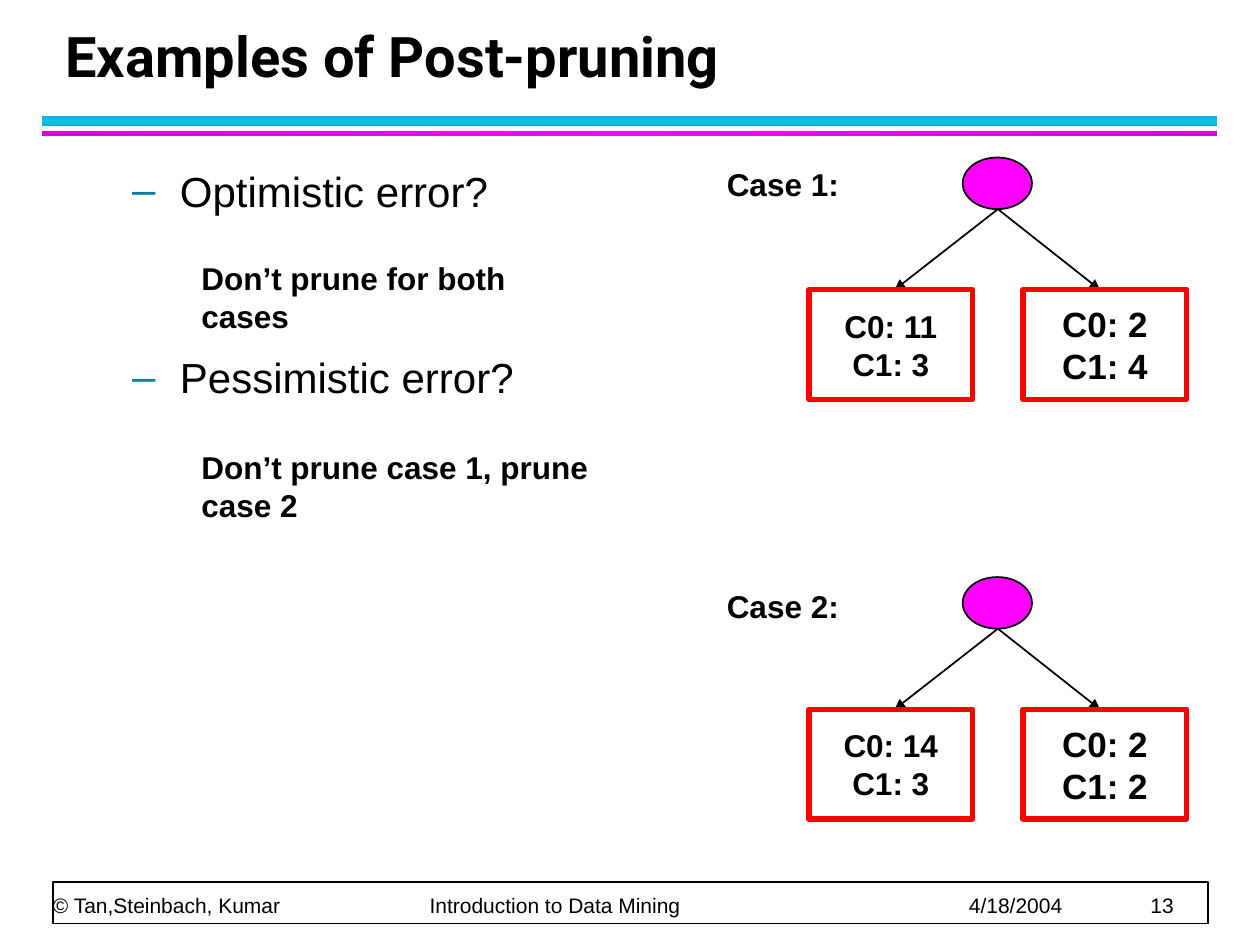
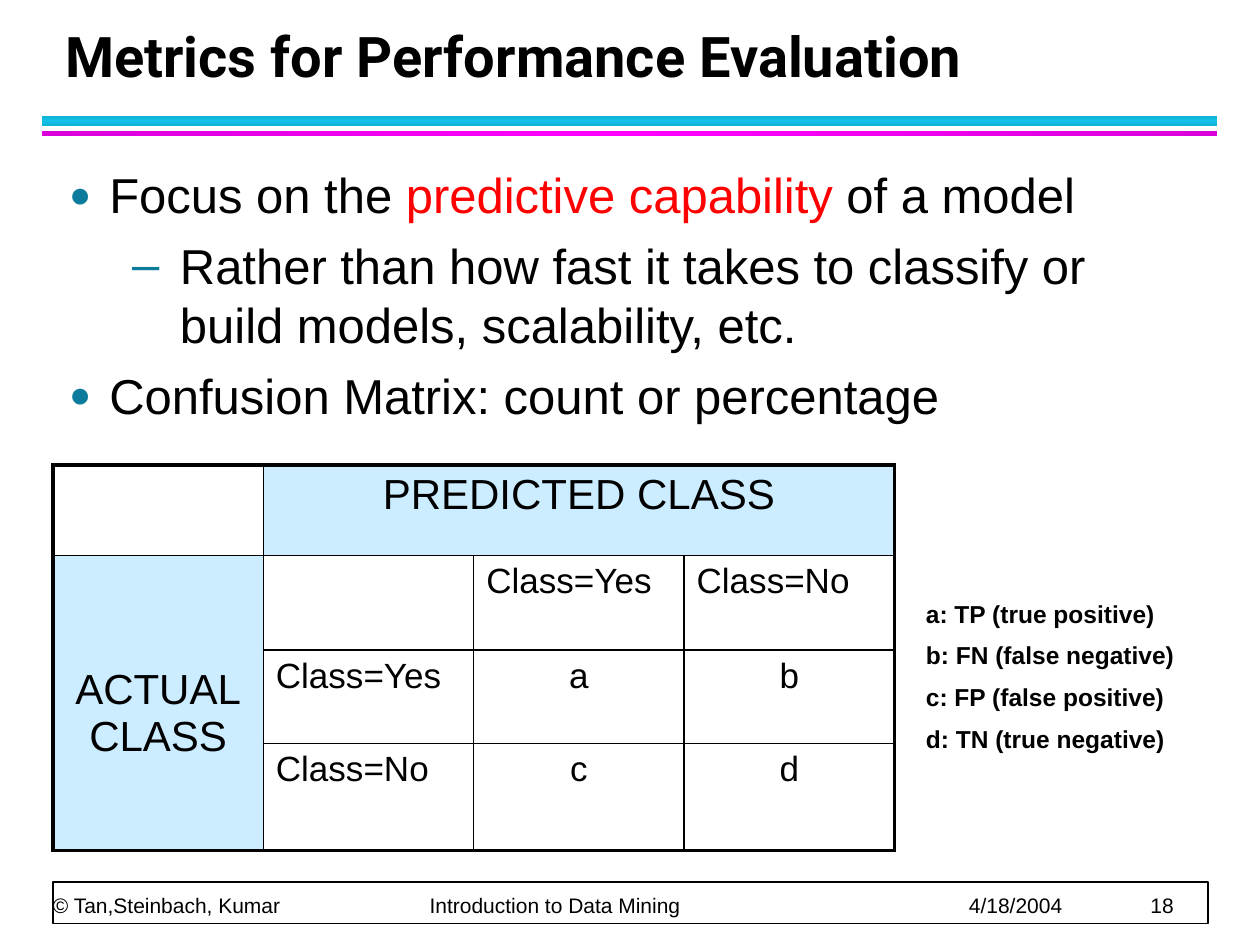
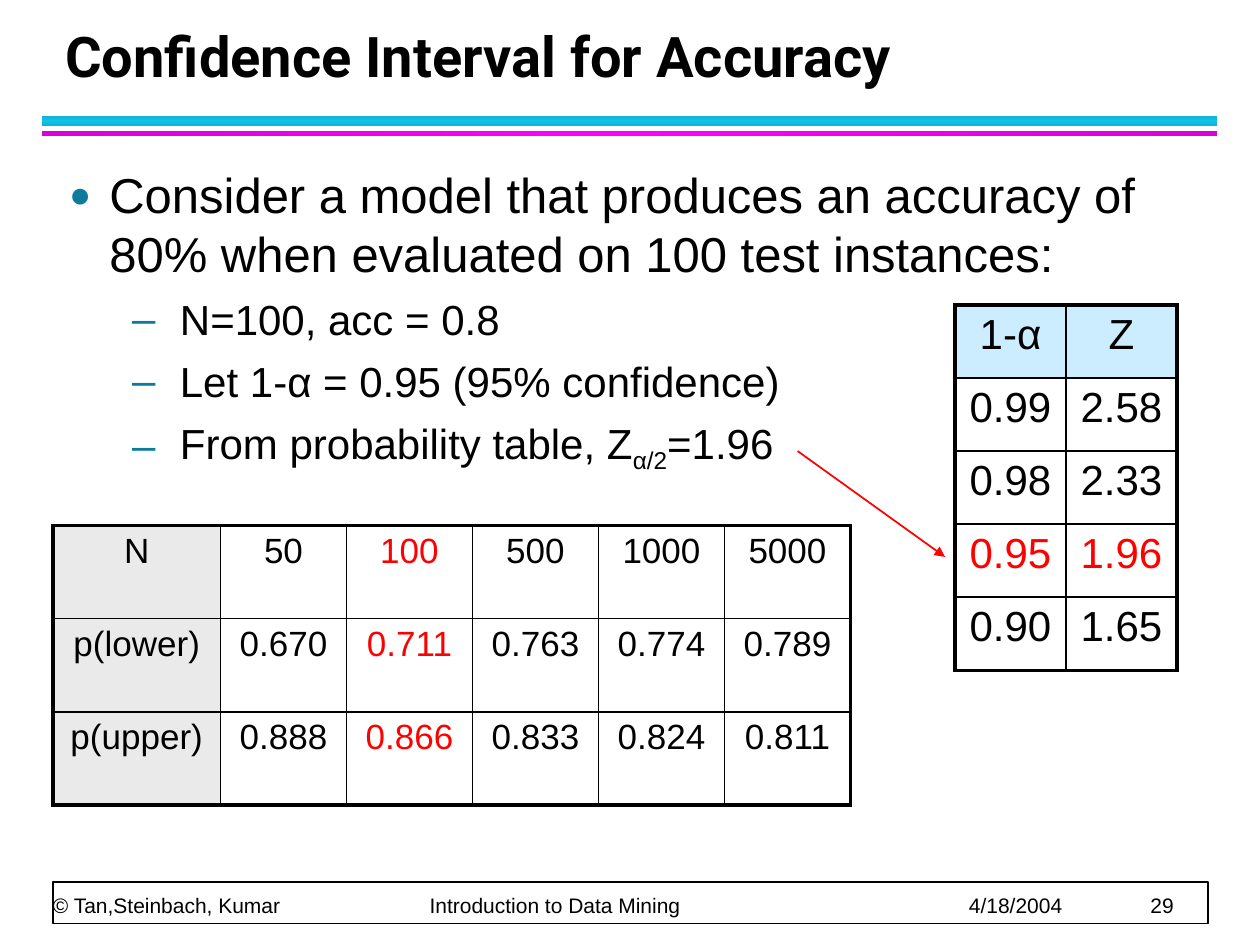
"""Build three lecture slides on pruning, evaluation metrics and confidence intervals."""
import dataclasses

import lxml.etree
import pptx
import pptx.dml.color
import pptx.enum.shapes
import pptx.enum.text
import pptx.oxml.ns
import pptx.util

Inches = pptx.util.Inches
Pt = pptx.util.Pt
ALIGN = pptx.enum.text.PP_ALIGN
ANCHOR = pptx.enum.text.MSO_ANCHOR
SHAPE = pptx.enum.shapes.MSO_SHAPE
qn = pptx.oxml.ns.qn


@dataclasses.dataclass(frozen=True)
class Theme:
    ink: str = "000000"
    paper: str = "FFFFFF"
    red: str = "FF0000"
    magenta: str = "FF00FF"
    bullet: str = "0C7B9C"
    header_blue: str = "CCECFF"
    header_gray: str = "EAEAEA"
    cyan_band: tuple = ("10B0D3", "12C2E9", "10B0D3")
    magenta_band: tuple = ("DA00DA", "FF00FF", "DA00DA")
    body_font: str = "Arial"
    title_font: str = "Roboto"
    title: int = 32
    body: int = 28
    sub: int = 24
    cell: int = 20
    label: int = 18
    legend: int = 14
    footer: int = 12
    leading: float = 1.2
    thin: float = 1
    thick: float = 2.25
    leaf_line: float = 3


THEME = Theme()
BANDS = [((0.33, 0.92, 9.33, 0.08), THEME.cyan_band, 90),
         ((0.33, 1.04, 9.33, 0.04), THEME.magenta_band, 0)]
FOOTER = ["© Tan,Steinbach, Kumar", "Introduction to Data Mining", "4/18/2004"]
FOOTER_TABS = [2.99, 7.27, 8.71]
LEVELS = [{"left": 0.32, "hang": 0.32, "mark": "●", "percent": 75},
          {"left": 0.88, "hang": 0.38, "mark": "–", "percent": 100}]

PRUNING = {
    "title": "Examples of Post-pruning", "number": 13, "body_width": 5.05,
    "bullets": [(1, THEME.sub, 0, [("Optimistic error?", "")]),
                (1, THEME.sub, 74, [("Pessimistic error?", "")])],
    "labels": [((1.5, 2, 3.08, 0.7), THEME.label, ["Don’t prune for both cases"]),
               ((1.5, 3.5, 3.58, 0.7), THEME.label, ["Don’t prune case 1, prune case 2"]),
               ((5.67, 1.25, 1.33, 0.4), THEME.label, ["Case 1:"]),
               ((5.67, 4.6, 1.33, 0.4), THEME.label, ["Case 2:"])],
    "trees": [(1.25, ["C0: 11", "C1: 3"], ["C0: 2", "C1: 4"]),
              (4.58, ["C0: 14", "C1: 3"], ["C0: 2", "C1: 2"])],
}
METRICS = {
    "title": "Metrics for Performance Evaluation", "number": 18,
    "bullets": [
        (0, THEME.body, 0, [("Focus on the ", ""), ("predictive capability", "red"),
                            (" of a model", "")]),
        (1, THEME.body, 2.8, [("Rather than how fast it takes to classify or "
                               "build models, scalability, etc.", "")]),
        (0, THEME.body, 2.8, [("Confusion Matrix: count or percentage", "")])],
    "labels": [((7.25, 4.69, 2.42, 1.38), THEME.legend,
                ["a: TP (true positive)", "b: FN (false negative)",
                 "c: FP (false positive)", "d: TN (true negative)"])],
    "tables": [{
        "at": (0.42, 3.69), "widths": [1.67] * 4, "heights": [0.72, 0.75, 0.74, 0.85],
        "rows": [["", "PREDICTED CLASS", "", ""],
                 ["ACTUAL\vCLASS", "", "Class=Yes", "Class=No"],
                 ["", "Class=Yes", "a", "b"],
                 ["", "Class=No", "c", "d"]],
        "merges": [((0, 1), (0, 3)), ((1, 0), (3, 0))],
        "size": THEME.cell, "large": {(0, 1), (1, 0)},
        "fill": THEME.header_blue, "filled": {(0, 1), (1, 0)},
        "left": {(1, 2), (1, 3), (2, 1), (3, 1)}, "tops": {(1, 0): 0.88}}],
}
CONFIDENCE = {
    "title": "Confidence Interval for Accuracy", "number": 29,
    "bullets": [
        (0, THEME.body, 0, [("Consider a model that produces an accuracy of 80% "
                             "when evaluated on 100 test instances:", "")]),
        (1, THEME.sub, 2.4, [("N=100, acc = 0.8", "")]),
        (1, THEME.sub, 2.4, [("Let 1-α = 0.95 (95% confidence)", "")]),
        (1, THEME.sub, 6.4, [("From probability table, Z", ""), ("α/2", "subscript"),
                             ("=1.96", "")])],
    "tables": [
        {"at": (7.58, 2.42), "widths": [0.88] * 2, "heights": [0.58] * 5,
         "rows": [["1-α", "Z"], ["0.99", "2.58"], ["0.98", "2.33"],
                  ["0.95", "1.96"], ["0.90", "1.65"]],
         "size": THEME.sub, "fill": THEME.header_blue,
         "filled": {(0, 0), (0, 1)}, "red": {(3, 0), (3, 1)}},
        {"at": (0.42, 4.17), "widths": [1.33] + [1] * 5, "heights": [0.74] * 3,
         "rows": [["N", "50", "100", "500", "1000", "5000"],
                  ["p(lower)", "0.670", "0.711", "0.763", "0.774", "0.789"],
                  ["p(upper)", "0.888", "0.866", "0.833", "0.824", "0.811"]],
         "size": THEME.cell, "fill": THEME.header_gray,
         "filled": {(row, 0) for row in range(3)}, "red": {(row, 2) for row in range(3)}}],
    "arrows": [((6.33, 3.58), (7.5, 4.42))],
}


def rgb(color):
    return pptx.dml.color.RGBColor.from_string(color)


def add_xml(parent, tag, **attributes):
    return lxml.etree.SubElement(parent, qn(tag), attributes)


def style_runs(paragraph, size, color=THEME.ink, bold=False, name=THEME.body_font):
    for span in paragraph.runs:
        span.font.size, span.font.bold, span.font.name = Pt(size), bold, name
        span.font.color.rgb = rgb(color)


def add_box(slide, at, insets=(0.1, 0.05, 0.1, 0.05), anchor=ANCHOR.TOP):
    frame = slide.shapes.add_textbox(*map(Inches, at)).text_frame
    frame.word_wrap, frame.vertical_anchor = True, anchor
    (frame.margin_left, frame.margin_top,
     frame.margin_right, frame.margin_bottom) = map(Inches, insets)
    return frame


def add_shape(shapes, kind, at, fill=None, line=None, width=THEME.thin):
    shape = shapes.add_shape(kind, *map(Inches, at))
    shape.shadow.inherit = False
    if fill:
        shape.fill.solid()
        shape.fill.fore_color.rgb = rgb(fill)
    else:
        shape.fill.background()
    if line:
        shape.line.color.rgb, shape.line.width = rgb(line), Pt(width)
    else:
        shape.line.fill.background()
    return shape


def add_band(slide, at, colors, angle):
    band = add_shape(slide.shapes, SHAPE.RECTANGLE, at)
    band.fill.gradient()
    band.fill.gradient_angle = angle
    stops = band._element.spPr.find(".//" + qn("a:gsLst"))
    for stop in list(stops):
        stops.remove(stop)
    for index, color in enumerate(colors):
        add_xml(add_xml(stops, "a:gs", pos=str(index * 50000)), "a:srgbClr", val=color)


def add_arrow(shapes, start, end, color):
    arrow = shapes.add_connector(pptx.enum.shapes.MSO_CONNECTOR.STRAIGHT,
                                 *map(Inches, start + end))
    arrow.line.color.rgb, arrow.line.width = rgb(color), Pt(THEME.thin)
    properties = arrow._element.spPr
    add_xml(properties.get_or_add_ln(), "a:tailEnd", type="triangle")
    add_xml(properties, "a:effectLst")


def add_frame(slide, title, number):
    for band in BANDS:
        add_band(slide, *band)
    add_shape(slide.shapes, SHAPE.RECTANGLE, (0.42, 7, 9.17, 0.33), THEME.paper, THEME.ink)
    para = add_box(slide, (0.42, 7, 9.15, 0.28), (0, 0, 0, 0), ANCHOR.BOTTOM).paragraphs[0]
    para.text = "\t".join(FOOTER + [str(number)])
    para.line_spacing = Pt(20)
    tabs = add_xml(para._p.get_or_add_pPr(), "a:tabLst")
    for position in FOOTER_TABS:
        add_xml(tabs, "a:tab", pos=str(Inches(position)), algn="l")
    style_runs(para, THEME.footer)
    para = add_box(slide, (0.42, 0.17, 9.06, 0.58), anchor=ANCHOR.BOTTOM).paragraphs[0]
    para.text = title
    para.line_spacing = Pt(36)
    style_runs(para, THEME.title, bold=True, name=THEME.title_font)


def add_bullets(slide, bullets, width):
    frame = add_box(slide, (0.45, 1.25, width, 5.67), (0.1, 0.06, 0.1, 0.05))
    for index, (level, size, before, spans) in enumerate(bullets):
        para = frame.add_paragraph() if index else frame.paragraphs[0]
        para.level = level
        look = LEVELS[level]
        properties = para._p.get_or_add_pPr()
        properties.set("marL", str(Inches(look["left"])))
        properties.set("indent", str(-Inches(look["hang"])))
        add_xml(add_xml(properties, "a:buClr"), "a:srgbClr", val=THEME.bullet)
        add_xml(properties, "a:buSzPct", val=str(look["percent"] * 1000))
        add_xml(properties, "a:buFont", typeface=THEME.body_font)
        add_xml(properties, "a:buChar", char=look["mark"])
        para.line_spacing = Pt(size * THEME.leading)
        para.space_before, para.space_after = Pt(before), Pt(4)
        for text, _ in spans:
            para.add_run().text = text
        style_runs(para, size)
        for span, (_, style) in zip(para.runs, spans):
            if style == "red":
                span.font.color.rgb = rgb(THEME.red)
            elif style == "subscript":
                span._r.get_or_add_rPr().set("baseline", "-25000")


def write_lines(frame, lines, size, align=ALIGN.LEFT, gap=0):
    frame.text = "\n".join(lines)
    for index, para in enumerate(frame.paragraphs):
        para.alignment = align
        para.line_spacing = Pt(size * THEME.leading)
        para.space_before = Pt(gap if index else 0)
        style_runs(para, size, bold=True)


def add_label(slide, at, size, lines):
    write_lines(add_box(slide, at, (0.1, 0.06, 0.1, 0.05)), lines, size, gap=size / 2)


def add_tree(slide, top, left_lines, right_lines):
    shapes = slide.shapes.add_group_shape().shapes
    add_shape(shapes, SHAPE.OVAL, (7.64, top, 0.55, 0.41), THEME.magenta, THEME.ink)
    leaf_top = top + 1.05
    for tip in (7.1, 8.73):
        add_arrow(shapes, (7.92, top + 0.41), (tip, leaf_top), THEME.ink)
    for left, lines, size in ((6.42, left_lines, THEME.label), (8.12, right_lines, THEME.cell)):
        leaf = add_shape(shapes, SHAPE.RECTANGLE, (left, leaf_top, 1.3, 0.87),
                         line=THEME.red, width=THEME.leaf_line)
        leaf.text_frame.word_wrap = False
        leaf.text_frame.vertical_anchor = ANCHOR.MIDDLE
        write_lines(leaf.text_frame, lines, size, ALIGN.CENTER)


def add_borders(cell, outer):
    properties = cell._tc.get_or_add_tcPr()
    for side in "LRTB":
        width = THEME.thick if side in outer else THEME.thin
        line = add_xml(properties, "a:ln" + side, w=str(Pt(width)))
        add_xml(add_xml(line, "a:solidFill"), "a:srgbClr", val=THEME.ink)


def add_table(slide, data):
    rows, widths, heights = data["rows"], data["widths"], data["heights"]
    size = (sum(widths), sum(heights))
    table = slide.shapes.add_table(len(rows), len(widths),
                                   *map(Inches, data["at"] + size)).table
    table.first_row = table.horz_banding = False
    for column, width in zip(table.columns, widths):
        column.width = Inches(width)
    for row, height in zip(table.rows, heights):
        row.height = Inches(height)
    for first, last in data.get("merges", []):
        table.cell(*first).merge(table.cell(*last))
    for r, texts in enumerate(rows):
        for c, text in enumerate(texts):
            cell, spot = table.cell(r, c), (r, c)
            tall, wide = (cell.span_height, cell.span_width) if cell.is_merge_origin else (1, 1)
            edges = {"L": c == 0, "R": c + wide == len(widths),
                     "T": r == 0, "B": r + tall == len(rows)}
            add_borders(cell, {side for side, outer in edges.items() if outer})
            if spot in data["filled"]:
                cell.fill.solid()
                cell.fill.fore_color.rgb = rgb(data["fill"])
            else:
                cell.fill.background()
            if not text:
                continue
            cell.margin_top = Inches(data.get("tops", {}).get(spot, 0.05))
            cell.text_frame.text = text
            para = cell.text_frame.paragraphs[0]
            para.alignment = ALIGN.LEFT if spot in data.get("left", ()) else ALIGN.CENTER
            para.space_after = Pt(4)
            style_runs(para, THEME.sub if spot in data.get("large", ()) else data["size"],
                       THEME.red if spot in data.get("red", ()) else THEME.ink)


def add_slide(deck, content):
    slide = deck.slides.add_slide(deck.slide_layouts[6])
    add_frame(slide, content["title"], content["number"])
    add_bullets(slide, content["bullets"], content.get("body_width", 9.1))
    for tree in content.get("trees", []):
        add_tree(slide, *tree)
    for table in content.get("tables", []):
        add_table(slide, table)
    for label in content.get("labels", []):
        add_label(slide, *label)
    for start, end in content.get("arrows", []):
        add_arrow(slide.shapes, start, end, THEME.red)


def main():
    deck = pptx.Presentation()
    deck.slide_width, deck.slide_height = Inches(10), Inches(7.5)
    for content in (PRUNING, METRICS, CONFIDENCE):
        add_slide(deck, content)
    deck.save("out.pptx")


if __name__ == "__main__":
    main()
